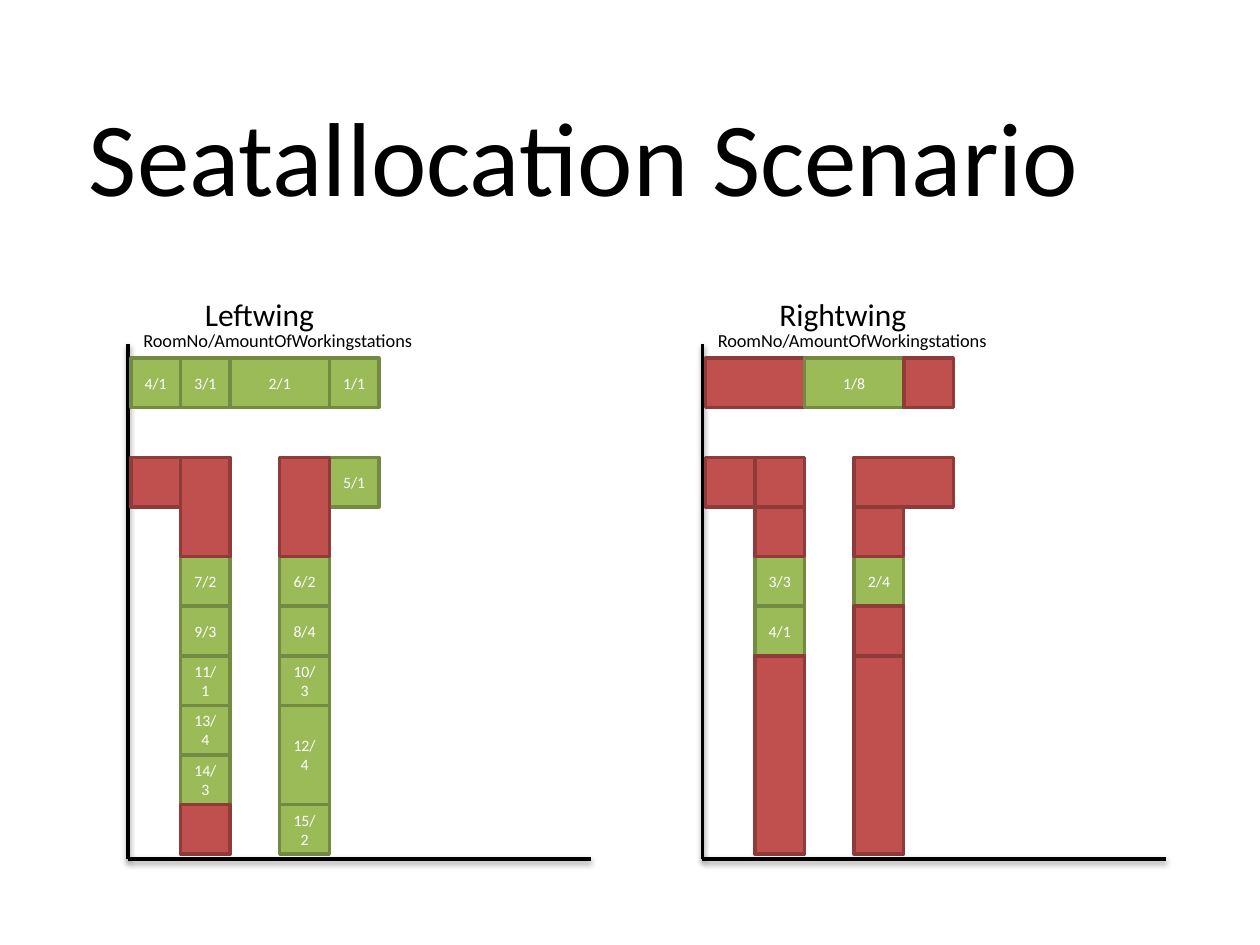
"""Build the seat allocation slide: two wings drawn as room grids beside axes."""
import pptx
import pptx.dml.color
import pptx.enum.shapes
import pptx.enum.text
import pptx.oxml
import pptx.util

PX = 7200
CELL = 50
TOP = 361
FONT = "Calibri"
FREE = ("9BBB59", "738A42")
TAKEN = ("C0504D", "8E3B39")
SHADOW = (
    '<a:effectLst xmlns:a="http://schemas.openxmlformats.org/drawingml/2006/main">'
    '<a:outerShdw blurRad="40000" dist="20000" dir="5400000" rotWithShape="0">'
    '<a:srgbClr val="000000"><a:alpha val="38000"/></a:srgbClr>'
    '</a:outerShdw></a:effectLst>'
)
LEFT = [
    (0, 0, 1, 1, "4/1"), (1, 0, 1, 1, "3/1"), (2, 0, 2, 1, "2/1"),
    (4, 0, 1, 1, "1/1"), (3, 4, 1, 1, "6/2"), (4, 2, 1, 1, "5/1"),
    (1, 4, 1, 1, "7/2"), (0, 2, 1, 1, ""), (1, 2, 1, 2, ""),
    (3, 2, 1, 2, ""), (1, 5, 1, 1, "9/3"), (3, 5, 1, 1, "8/4"),
    (3, 6, 1, 1, "10/3"), (1, 6, 1, 1, "11/1"), (1, 7, 1, 1, "13/4"),
    (1, 8, 1, 1, "14/3"), (3, 7, 1, 2, "12/4"), (1, 9, 1, 1, ""),
    (3, 9, 1, 1, "15/2"),
]
RIGHT = [
    (0, 0, 2, 1, ""), (2, 0, 2, 1, "1/8"), (4, 0, 1, 1, ""),
    (0, 2, 1, 1, ""), (1, 2, 1, 1, ""), (3, 2, 2, 1, ""),
    (1, 4, 1, 1, "3/3"), (3, 4, 1, 1, "2/4"), (3, 5, 1, 1, ""),
    (1, 5, 1, 1, "4/1"), (3, 6, 1, 4, ""), (1, 3, 1, 1, ""),
    (3, 3, 1, 1, ""), (1, 6, 1, 4, ""),
]


def px(*sizes):
    """Turn pixel lengths into EMU."""
    return [pptx.util.Emu(size * PX) for size in sizes]


def tint(fmt, color):
    """Apply a solid hex colour to a fill."""
    fmt.solid()
    fmt.fore_color.rgb = pptx.dml.color.RGBColor.from_string(color)


def style(para, size, color):
    """Set the font of a paragraph."""
    para.font.name = FONT
    para.font.size = pptx.util.Pt(size)
    tint(para.font.fill, color)


def write(shape, text, size):
    """Fill a shape with one unwrapped line of black text."""
    frame = shape.text_frame
    frame.text = text
    frame.word_wrap = False
    frame.auto_size = pptx.enum.text.MSO_AUTO_SIZE.SHAPE_TO_FIT_TEXT
    frame.vertical_anchor = pptx.enum.text.MSO_ANCHOR.TOP
    para = frame.paragraphs[0]
    para.alignment = pptx.enum.text.PP_ALIGN.LEFT
    style(para, size, "000000")


def title(slide, text):
    """Place and format the slide title."""
    shape = slide.shapes.title
    shape.left, shape.top, shape.width, shape.height = px(77, 86, 1034, 141)
    write(shape, text, 60)


def label(slide, box, text, size):
    """Add a text box."""
    write(slide.shapes.add_textbox(*px(*box)), text, size)


def axis(slide, ends):
    """Add a black axis line with a soft shadow."""
    kind = pptx.enum.shapes.MSO_CONNECTOR.STRAIGHT
    line = slide.shapes.add_connector(kind, *px(*ends))
    tint(line.line.fill, "000000")
    line.line.width = pptx.util.Pt(2)
    line._element.spPr.append(pptx.oxml.parse_xml(SHADOW))


def room(slide, left, col, row, wide, high, text):
    """Add a room, green when it has a number and red otherwise."""
    box = px(left + col * CELL, TOP + row * CELL, wide * CELL, high * CELL)
    shape = slide.shapes.add_shape(pptx.enum.shapes.MSO_SHAPE.RECTANGLE, *box)
    shape.shadow.inherit = False
    fill, edge = FREE if text else TAKEN
    tint(shape.fill, fill)
    tint(shape.line.fill, edge)
    shape.line.width = pptx.util.Pt(2)
    if text:
        frame = shape.text_frame
        frame.text = text
        frame.word_wrap = True
        frame.vertical_anchor = pptx.enum.text.MSO_ANCHOR.MIDDLE
        para = frame.paragraphs[0]
        para.alignment = pptx.enum.text.PP_ALIGN.CENTER
        style(para, 9, "FFFFFF")


def wing(slide, left, name, width, rooms):
    """Add one wing with its labels, axes and rooms."""
    edge, base = left - 3, 866
    label(slide, (left + 62, 291, width, 51), name, 18)
    axis(slide, (edge, 347, edge, base))
    for item in rooms:
        room(slide, left, *item)
    axis(slide, (left + 464, base, edge, base))
    label(slide, (left, 326, 304, 36), "RoomNo/AmountOfWorkingstations", 10.5)


def main():
    """Build and save the slide."""
    deck = pptx.Presentation()
    deck.slide_width, deck.slide_height = px(1270, 952.5)
    slide = deck.slides.add_slide(deck.slide_layouts[5])
    title(slide, "Seatallocation Scenario")
    wing(slide, 132, "Leftwing", 138, LEFT)
    wing(slide, 711, "Rightwing", 155, RIGHT)
    deck.save("out.pptx")


if __name__ == "__main__":
    main()
